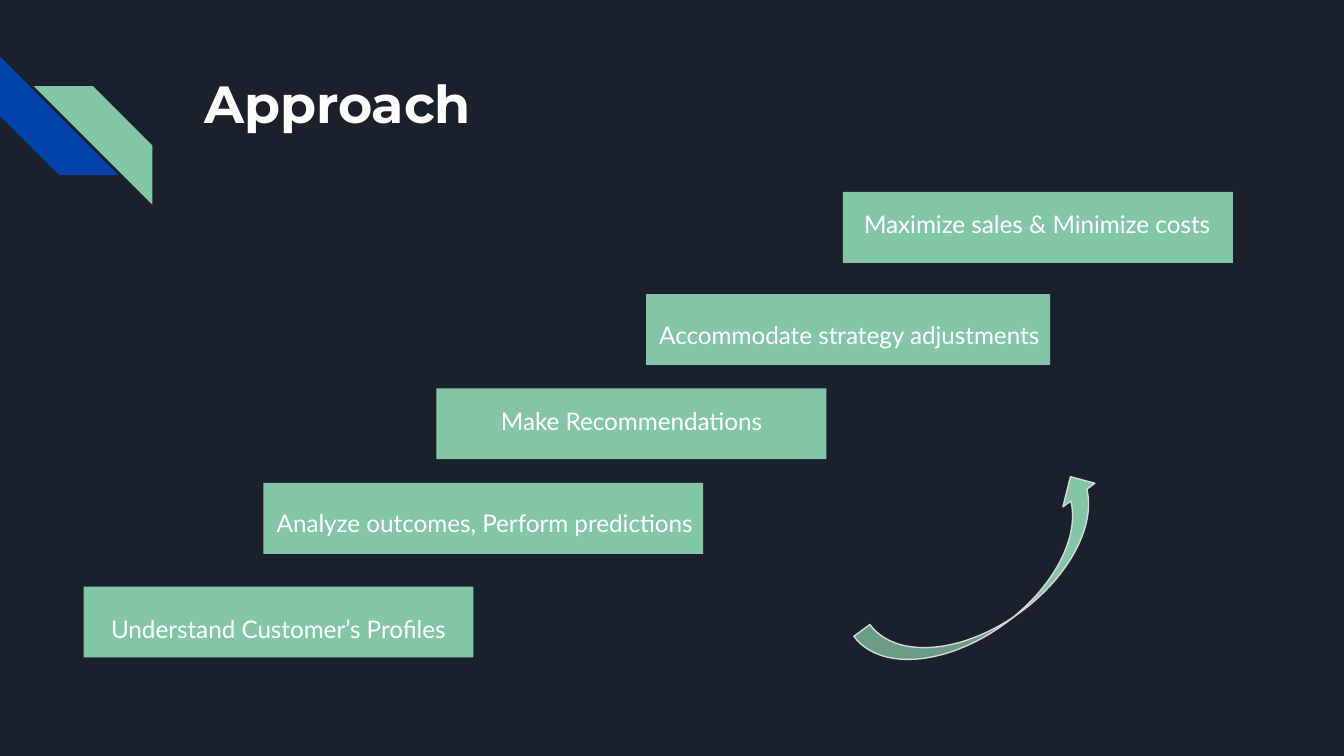
"""Build the Approach slide: five rising steps and a curved arrow."""
from pptx import Presentation
from pptx.dml.color import RGBColor
from pptx.enum.shapes import MSO_SHAPE
from pptx.enum.text import MSO_ANCHOR, PP_ALIGN
from pptx.util import Cm, Pt

RECT = MSO_SHAPE.RECTANGLE
STRIPE = MSO_SHAPE.DIAGONAL_STRIPE
ARROW = MSO_SHAPE.CURVED_RIGHT_ARROW
LEFT = PP_ALIGN.LEFT
CENTER = PP_ALIGN.CENTER
TOP = MSO_ANCHOR.TOP

NAVY = RGBColor(0x1B, 0x21, 0x2C)
BLUE = RGBColor(0x01, 0x45, 0xAC)
GREEN = RGBColor(0x82, 0xC7, 0xA5)
GRAY = RGBColor(0xD9, 0xD9, 0xD9)
WHITE = RGBColor(0xFF, 0xFF, 0xFF)

INSET = 0.25
STEP_H = 1.34
STEPS = [
    (1.58, 11.09, 7.37),
    (4.98, 9.13, 8.31),
    (12.21, 5.56, 7.64),
    (15.93, 3.63, 7.37),
]
LABELS = [
    ("Maximize sales & Minimize costs", 16.08, 3.63, 7.09),
    ("Understand Customer’s Profiles", 1.85, 11.27, 7.37),
    ("Accommodate strategy adjustments", 12.21, 5.72, 7.9),
    ("Analyze outcomes, Perform predictions", 4.98, 9.28, 8.53),
]


def write(shape, text, size=13, font="Lato", bold=False, align=LEFT, space=1.15):
    frame = shape.text_frame
    frame.word_wrap = True
    frame.vertical_anchor = TOP
    frame.margin_left = frame.margin_right = Cm(INSET)
    frame.margin_top = frame.margin_bottom = Cm(INSET)
    para = frame.paragraphs[0]
    para.alignment = align
    para.line_spacing = space
    run = para.add_run()
    run.text = text
    run.font.size = Pt(size)
    run.font.name = font
    run.font.bold = bold
    run.font.color.rgb = WHITE


class Deck:
    def __init__(self):
        self.show = Presentation()
        self.show.slide_width = Cm(25.4)
        self.show.slide_height = Cm(14.29)
        self.slide = self.show.slides.add_slide(self.show.slide_layouts[6])
        back = self.slide.background.fill
        back.solid()
        back.fore_color.rgb = NAVY

    def shape(self, kind, *box, fill=GREEN, line=None, turn=0):
        item = self.slide.shapes.add_shape(kind, *map(Cm, box))
        item.shadow.inherit = False
        item.rotation = turn
        item.fill.solid()
        item.fill.fore_color.rgb = fill
        if line is None:
            item.line.fill.background()
        else:
            item.line.color.rgb = line
            item.line.width = Pt(0.75)
        return item

    def text(self, text, *box, **style):
        write(self.slide.shapes.add_textbox(*map(Cm, box)), text, **style)


def main():
    deck = Deck()
    deck.shape(STRIPE, 0, 1.07, 2.24, 2.24, fill=BLUE, turn=270)
    deck.shape(STRIPE, 0.64, 1.63, 2.24, 2.24, turn=90)
    for left, top, width in STEPS:
        deck.shape(RECT, left, top, width, STEP_H)
    deck.text("Approach", 3.61, 1.09, 19.56, 2.54,
              size=28, font="Montserrat", bold=True, space=1.0)
    for text, left, top, width in LABELS:
        deck.text(text, left, top, width, STEP_H)
    middle = deck.shape(RECT, 8.25, 7.34, 7.37, STEP_H)
    write(middle, "Make Recommendations", align=CENTER)
    deck.shape(ARROW, 18.03, 8.28, 1.5, 5.46, line=GRAY, turn=233.6)
    deck.show.save("out.pptx")


if __name__ == "__main__":
    main()
